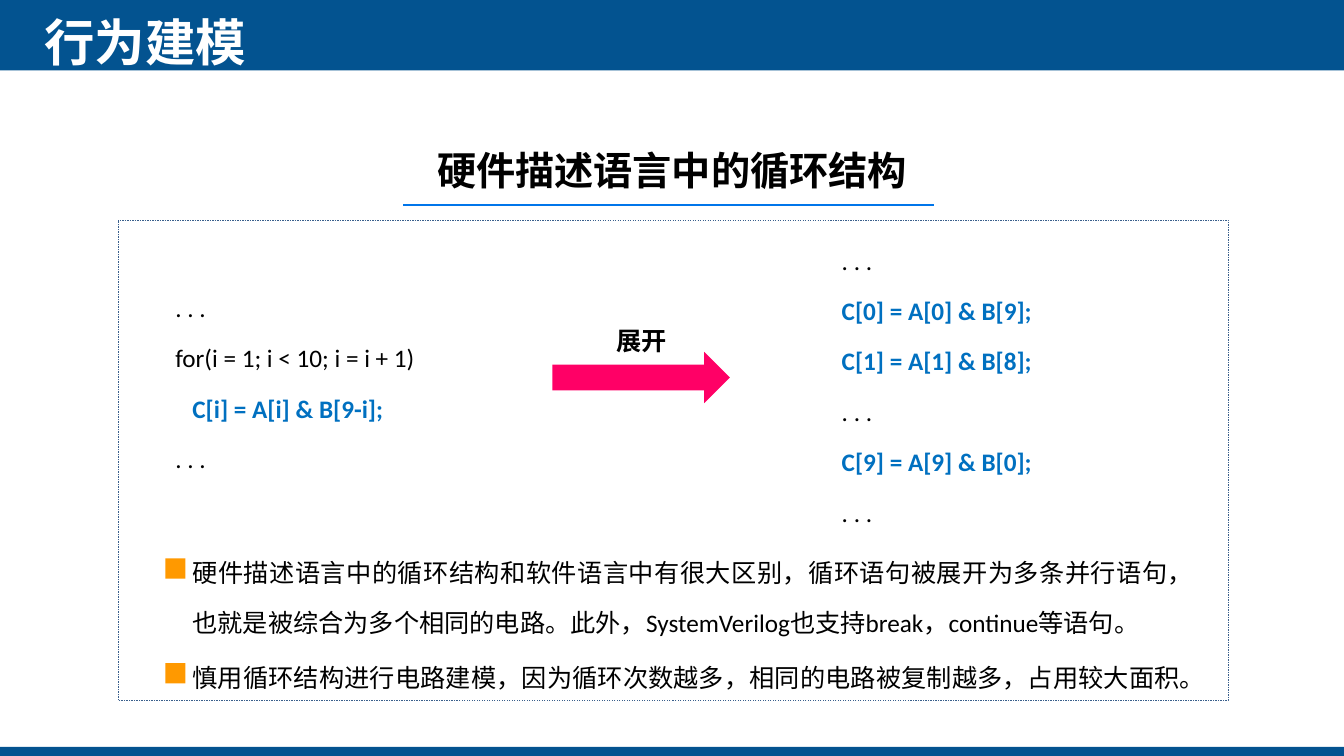
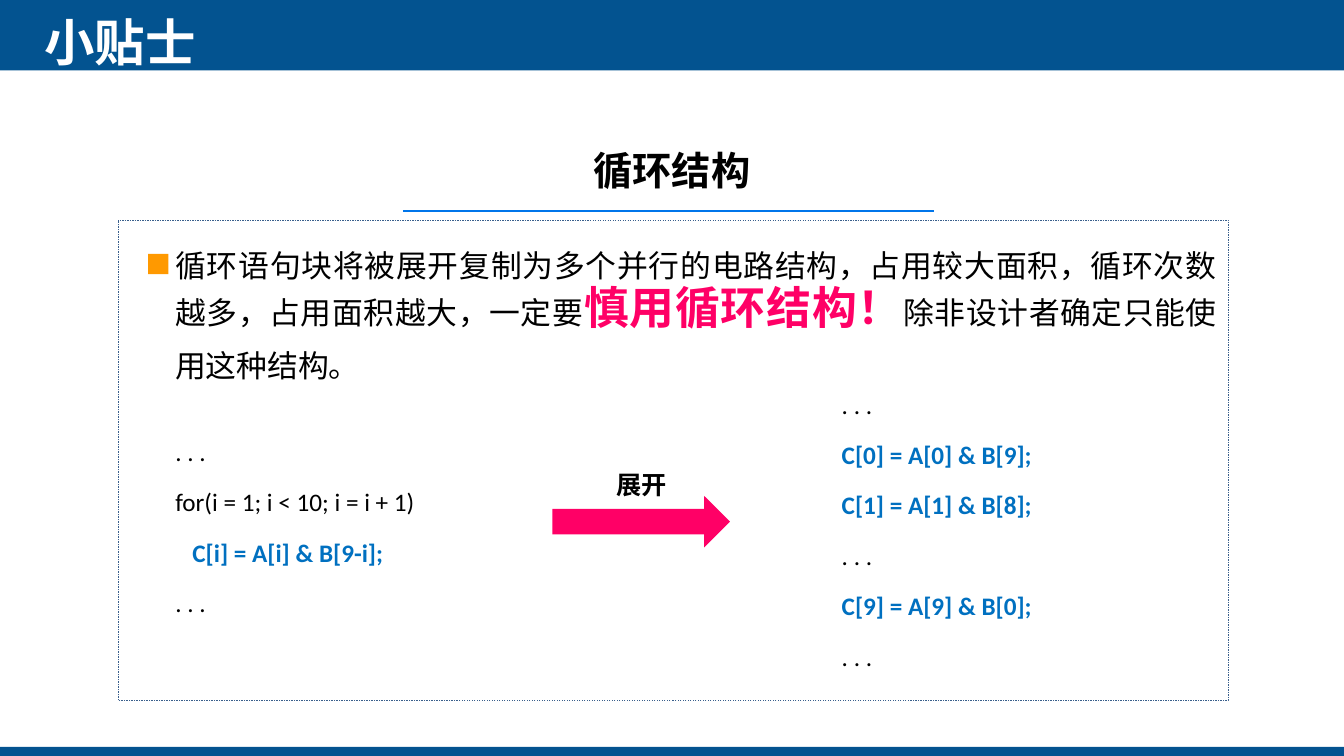
from pptx import Presentation
from pptx.dml.color import RGBColor
from pptx.enum.dml import MSO_LINE
from pptx.enum.shapes import MSO_CONNECTOR, MSO_SHAPE
from pptx.enum.text import MSO_ANCHOR, PP_ALIGN
from pptx.oxml.ns import qn
from pptx.util import Inches, Pt
from lxml.etree import SubElement

BAND, RULE, FRAME = "035390", "0075EA", "3A5F8C"
BLACK, WHITE, CODE_BLUE = "000000", "FFFFFF", "0070C0"
PINK, ORANGE = "FF0066", "FF9900"
LATIN, CJK = "Calibri", "Noto Sans CJK SC"

LOOP_CODE = [". . .", "for(i = 1; i < 10; i = i + 1)", "   C[i] = A[i] & B[9-i];", ". . ."]
UNROLLED_CODE = [". . .", "C[0] = A[0] & B[9];", "C[1] = A[1] & B[8];", ". . .",
                 "C[9] = A[9] & B[0];", ". . ."]
ARROW_LABEL = "展开"

PLAIN = dict(size=18, font=LATIN)
LARGE = dict(size=22, font=CJK)
STRESS = dict(size=32, font=CJK, color=PINK, bold=True)

SLIDES = [
    dict(title="行为建模", heading="硬件描述语言中的循环结构", heading_font=LATIN,
         rule_y=2.03, code_y=2.18,
         bullets=[
             ((1.81, 5.28, 9.88, 1.11),
              [("硬件描述语言中的循环结构和软件语言中有很大区别，循环语句被展开为多条并行语句，"
                "也就是被综合为多个相同的电路。此外，SystemVerilog也支持break，continue等语句。", PLAIN)]),
             ((1.81, 6.32, 10, 0.6),
              [("慎用循环结构进行电路建模，因为循环次数越多，相同的电路被复制越多，占用较大面积。", PLAIN)]),
         ]),
    dict(title="小贴士", heading="循环结构", heading_font=CJK,
         rule_y=2.09, code_y=3.61,
         bullets=[
             ((1.64, 2.26, 10.53, 1.61),
              [("循环语句块将被展开复制为多个并行的电路结构，占用较大面积，循环次数越多，"
                "占用面积越大，一定要", LARGE),
               ("慎用循环结构！", STRESS),
               ("除非设计者确定只能使用这种结构。", LARGE)]),
         ]),
]


def rgb(color):
    return RGBColor.from_string(color)


def box(at):
    return [Inches(v) for v in at]


def style(r, size, font, color=BLACK, bold=False):
    r.font.size = Pt(size)
    r.font.name = font
    r.font.bold = bold
    r.font.color.rgb = rgb(color)
    SubElement(r.font._element, qn("a:ea")).set("typeface", CJK)


def add_text(s, at, paragraphs, align=PP_ALIGN.JUSTIFY, spacing=Pt(36), anchor=MSO_ANCHOR.TOP):
    tf = s.shapes.add_textbox(*box(at)).text_frame
    tf.word_wrap = True
    tf.vertical_anchor = anchor
    for i, runs in enumerate(paragraphs):
        p = tf.paragraphs[0] if i == 0 else tf.add_paragraph()
        p.alignment = align
        p.line_spacing = spacing
        for text, look in runs:
            r = p.add_run()
            r.text = text
            style(r, **look)


def add_block(s, at, fill=None, kind=MSO_SHAPE.RECTANGLE):
    sp = s.shapes.add_shape(kind, *box(at))
    sp.shadow.inherit = False
    if fill:
        sp.fill.solid()
        sp.fill.fore_color.rgb = rgb(fill)
        sp.line.fill.background()
    else:
        sp.fill.background()
    return sp


def add_frame(s, title, heading, heading_font, rule_y):
    add_block(s, (0, -0.03, 13.33, 0.73), BAND)
    add_block(s, (0, 7.41, 13.33, 0.1), BAND)
    add_text(s, (0.34, -0.28, 11.5, 1.45),
             [[(title, dict(size=36, font=CJK, color=WHITE, bold=True))]],
             PP_ALIGN.LEFT, 0.9, MSO_ANCHOR.MIDDLE)
    add_text(s, (3.55, 1.4, 6.23, 0.57),
             [[(heading, dict(size=28, font=heading_font, bold=True))]], PP_ALIGN.CENTER, 1.0)
    rule = s.shapes.add_connector(MSO_CONNECTOR.STRAIGHT, *box((4, rule_y, 9.26, rule_y)))
    rule.line.color.rgb = rgb(RULE)
    rule.line.width = Pt(1.5)
    SubElement(rule._element.spPr, qn("a:effectLst"))
    frame = add_block(s, (1.17, 2.18, 11.01, 4.77))
    frame.line.color.rgb = rgb(FRAME)
    frame.line.width = Pt(0.25)
    frame.line.dash_style = MSO_LINE.DASH


def add_code(s, at, lines):
    blue = dict(PLAIN, color=CODE_BLUE, bold=True)
    add_text(s, at, [[(line, blue if "&" in line else PLAIN)] for line in lines])


def add_unrolling(s, y):
    add_code(s, (1.64, y + 0.47, 3.45, 2.12), LOOP_CODE)
    add_code(s, (8.25, y, 3.45, 3.13), UNROLLED_CODE)
    add_block(s, (5.48, y + 1.31, 1.76, 0.51), PINK, MSO_SHAPE.RIGHT_ARROW)
    add_text(s, (5.97, y + 1, 0.78, 0.4), [[(ARROW_LABEL, dict(PLAIN, bold=True))]],
             PP_ALIGN.CENTER, 1.0)


def add_bullet(s, at, runs):
    add_text(s, at, [runs])
    add_block(s, (at[0] - 0.17, at[1] + 0.26, 0.2, 0.2), ORANGE)


def main():
    prs = Presentation()
    prs.slide_width, prs.slide_height = Inches(13.33), Inches(7.5)
    for page in SLIDES:
        s = prs.slides.add_slide(prs.slide_layouts[6])
        add_frame(s, page["title"], page["heading"], page["heading_font"], page["rule_y"])
        add_unrolling(s, page["code_y"])
        for at, runs in page["bullets"]:
            add_bullet(s, at, runs)
    prs.save("out.pptx")


if __name__ == "__main__":
    main()
